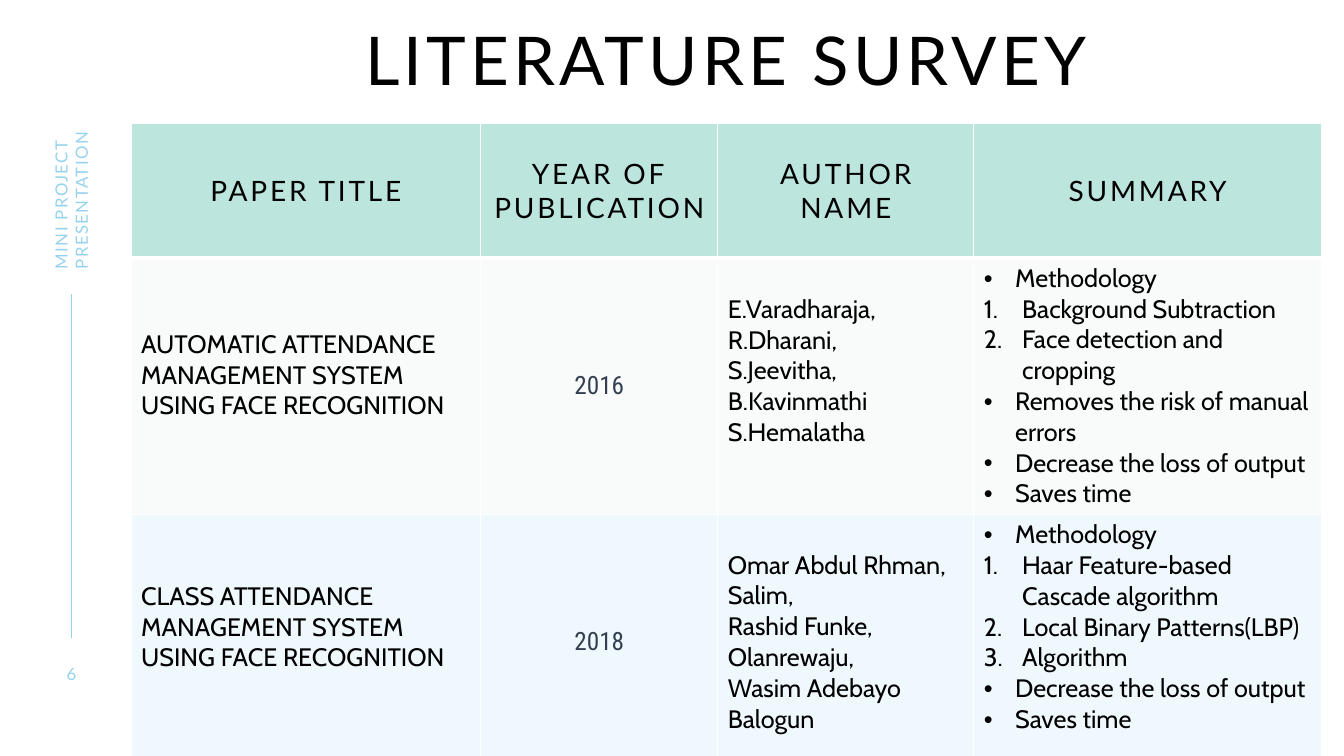
from dataclasses import dataclass

import pptx
import pptx.dml.color
import pptx.enum.shapes
import pptx.enum.text
import pptx.oxml
import pptx.oxml.ns
import pptx.util

RGBColor = pptx.dml.color.RGBColor
ALIGN = pptx.enum.text.PP_ALIGN
ANCHOR = pptx.enum.text.MSO_ANCHOR
qn = pptx.oxml.ns.qn

BLACK = RGBColor(0x00, 0x00, 0x00)
WHITE = RGBColor(0xFF, 0xFF, 0xFF)
SLATE = RGBColor(0x33, 0x3F, 0x50)
SKY = RGBColor(0x96, 0xD3, 0xED)
MINT = RGBColor(0xBC, 0xE5, 0xDD)
MIST = RGBColor(0xC7, 0xDB, 0xE1)

WIDTH = pptx.util.Inches(13.333)
HEIGHT = pptx.util.Inches(7.5)


def across(percent: float) -> int:
    return round(WIDTH * percent / 100)


def down(percent: float) -> int:
    return round(HEIGHT * percent / 100)


@dataclass(frozen=True)
class Style:
    font: str
    size: float
    color: RGBColor
    align: ALIGN = ALIGN.LEFT
    spacing: float = 0
    line: float = 1.0


@dataclass(frozen=True)
class Label:
    text: str
    box: tuple[float, float, float, float]  # percent of slide width and height
    style: Style
    anchor: ANCHOR = ANCHOR.MIDDLE
    rotation: float = 0


@dataclass(frozen=True)
class Paper:
    title: str
    year: str
    authors: tuple[str, ...]
    summary: tuple[str, ...]  # "•" or "#" marks the kind of list item
    fill: RGBColor
    opacity: int
    lifts: tuple[float, ...]  # extra bottom margin per column, inches


@dataclass(frozen=True)
class Bullet:
    indent: float
    xml_tag: str
    attribute: str
    value: str


HEADING = Style("Lato", 48, BLACK, ALIGN.CENTER, 3, 0.9)
COLUMN_HEAD = Style("Lato", 20, BLACK, ALIGN.CENTER, 2)
BODY = Style("Cabin", 18, BLACK)
YEAR = Style("Roboto Condensed", 18, SLATE, ALIGN.CENTER)

BULLETS = {
    "•": Bullet(0.31, "a:buChar", "char", "•"),
    "#": Bullet(0.38, "a:buAutoNum", "type", "arabicPeriod"),
}

LABELS = [
    Label("LITERATURE SURVEY", (13.73, 3.6, 80.63, 13.33), HEADING, ANCHOR.TOP),
    Label("MINI PROJECT PRESENTATION", (-2.03, 21.2, 14.63, 2.8),
          Style("Lato", 12, SKY, spacing=1), rotation=270),
    Label("6", (3.45, 87.73, 3.75, 2.67), Style("Lato", 12, SKY, ALIGN.CENTER, 2)),
]

TABLE_LEFT, TABLE_TOP = 9.75, 16.27
COLUMNS = (26.03, 17.63, 19.05, 25.88)
HEAD_ROW, PAPER_ROW = 17.87, 33.87
HEADS = (("PAPER TITLE",), ("YEAR OF PUBLICATION",), ("AUTHOR", "NAME"), ("SUMMARY",))
PAPERS = [
    Paper("AUTOMATIC ATTENDANCE MANAGEMENT SYSTEM USING FACE RECOGNITION", "2016",
          ("E.Varadharaja,", "R.Dharani,", "S.Jeevitha,", "B.Kavinmathi", "S.Hemalatha"),
          ("•Methodology", "#Background Subtraction", "#Face detection and cropping",
           "•Removes the risk of manual errors", "•Decrease the loss of output",
           "•Saves time"),
          MIST, 10, (0.22, 0, 0.3, 0)),
    Paper("CLASS ATTENDANCE MANAGEMENT SYSTEM USING FACE RECOGNITION", "2018",
          ("Omar Abdul Rhman,", "Salim,", "Rashid Funke,", "Olanrewaju,",
           "Wasim Adebayo Balogun"),
          ("•Methodology", "#Haar Feature-based Cascade algorithm",
           "#Local Binary Patterns(LBP)", "#Algorithm", "•Decrease the loss of output",
           "•Saves time"),
          SKY, 15, (0.3, 0, 0, 0.3)),
]


def add_bullet(p, bullet: Bullet) -> None:
    pPr = p._p.get_or_add_pPr()
    indent = pptx.util.Inches(bullet.indent)
    pPr.set("marL", str(indent))
    pPr.set("indent", str(-indent))
    pptx.oxml.ns  # namespace map used by the sub-elements below
    font = pPr.makeelement(qn("a:buFont"), {"typeface": "Arial"})
    mark = pPr.makeelement(qn(bullet.xml_tag), {bullet.attribute: bullet.value})
    if bullet.xml_tag == "a:buChar":
        pPr.append(font)
    pPr.append(mark)


def write(tf, lines: tuple[str, ...], style: Style) -> None:
    for i, line in enumerate(lines):
        p = tf.paragraphs[0] if i == 0 else tf.add_paragraph()
        p.alignment, p.line_spacing = style.align, style.line
        bullet = BULLETS.get(line[0])
        if bullet:
            add_bullet(p, bullet)
            line = line[1:]
        r = p.add_run()
        r.text = line
        formats = {"name": style.font, "size": pptx.util.Pt(style.size), "bold": False}
        for name, value in formats.items():
            setattr(r.font, name, value)
        r.font.color.rgb = style.color
        r._r.get_or_add_rPr().set("spc", str(round(style.spacing * 100)))


def add_label(s, label: Label) -> None:
    x, y, w, h = label.box
    sp = s.shapes.add_textbox(across(x), down(y), across(w), down(h))
    sp.rotation = label.rotation
    tf = sp.text_frame
    formats = {"word_wrap": True, "vertical_anchor": label.anchor, "margin_left": 0,
               "margin_top": 0, "margin_right": 0, "margin_bottom": 0}
    for name, value in formats.items():
        setattr(tf, name, value)
    write(tf, (label.text,), label.style)


def add_rule(s, x: float, top: float, bottom: float) -> None:
    line = s.shapes.add_connector(pptx.enum.shapes.MSO_CONNECTOR.STRAIGHT,
                                  across(x), down(top), across(x), down(bottom))
    line.line.color.rgb = SKY
    line.line.width = pptx.util.Pt(1)
    spPr = line._element.spPr
    spPr.append(spPr.makeelement(qn("a:effectLst"), {}))


def format_cell(cell, fill: RGBColor, opacity: int, top: int, bottom: int) -> None:
    cell.vertical_anchor = ANCHOR.MIDDLE
    cell.fill.solid()
    cell.fill.fore_color.rgb = fill
    tcPr = cell._tc.get_or_add_tcPr()
    if opacity < 100:
        color = tcPr.find(".//" + qn("a:srgbClr"))
        color.append(color.makeelement(qn("a:alpha"), {"val": str(opacity * 1000)}))
    # Borders come before the fill, in the order left, right, top, bottom
    for i, (side, width) in enumerate(zip("LRTB", (1, 1, top, bottom))):
        tcPr.insert(i, pptx.oxml.parse_xml(
            f'<a:ln{side} {pptx.oxml.ns.nsdecls("a")} w="{pptx.util.Pt(width)}">'
            f'<a:solidFill><a:srgbClr val="{WHITE}"/></a:solidFill></a:ln{side}>'))


def add_survey(s) -> None:
    heights = (HEAD_ROW,) + (PAPER_ROW,) * len(PAPERS)
    table = s.shapes.add_table(len(heights), len(COLUMNS), across(TABLE_LEFT),
                               down(TABLE_TOP), across(sum(COLUMNS)),
                               down(sum(heights))).table
    table.first_row = table.horz_banding = False
    for column, width in zip(table.columns, COLUMNS):
        column.width = across(width)
    for row, height in zip(table.rows, heights):
        row.height = down(height)

    # Column heads
    for cell, lines in zip(table.rows[0].cells, HEADS):
        format_cell(cell, MINT, 100, 1, 3)
        write(cell.text_frame, lines, COLUMN_HEAD)

    # One row per paper
    for n, paper in enumerate(PAPERS, 1):
        texts = ((paper.title,), (paper.year,), paper.authors, paper.summary)
        for cell, lines, style, lift in zip(table.rows[n].cells, texts,
                                            (BODY, YEAR, BODY, BODY), paper.lifts):
            format_cell(cell, paper.fill, paper.opacity, 3 if n == 1 else 1, 1)
            cell.margin_bottom = pptx.util.Inches(0.05 + lift)
            write(cell.text_frame, lines, style)


def main() -> None:
    prs = pptx.Presentation()
    prs.slide_width, prs.slide_height = WIDTH, HEIGHT
    s = prs.slides.add_slide(prs.slide_layouts[6])
    add_rule(s, 5.33, 38.93, 84.4)
    for label in LABELS:
        add_label(s, label)
    add_survey(s)
    prs.save("out.pptx")


if __name__ == "__main__":
    main()
